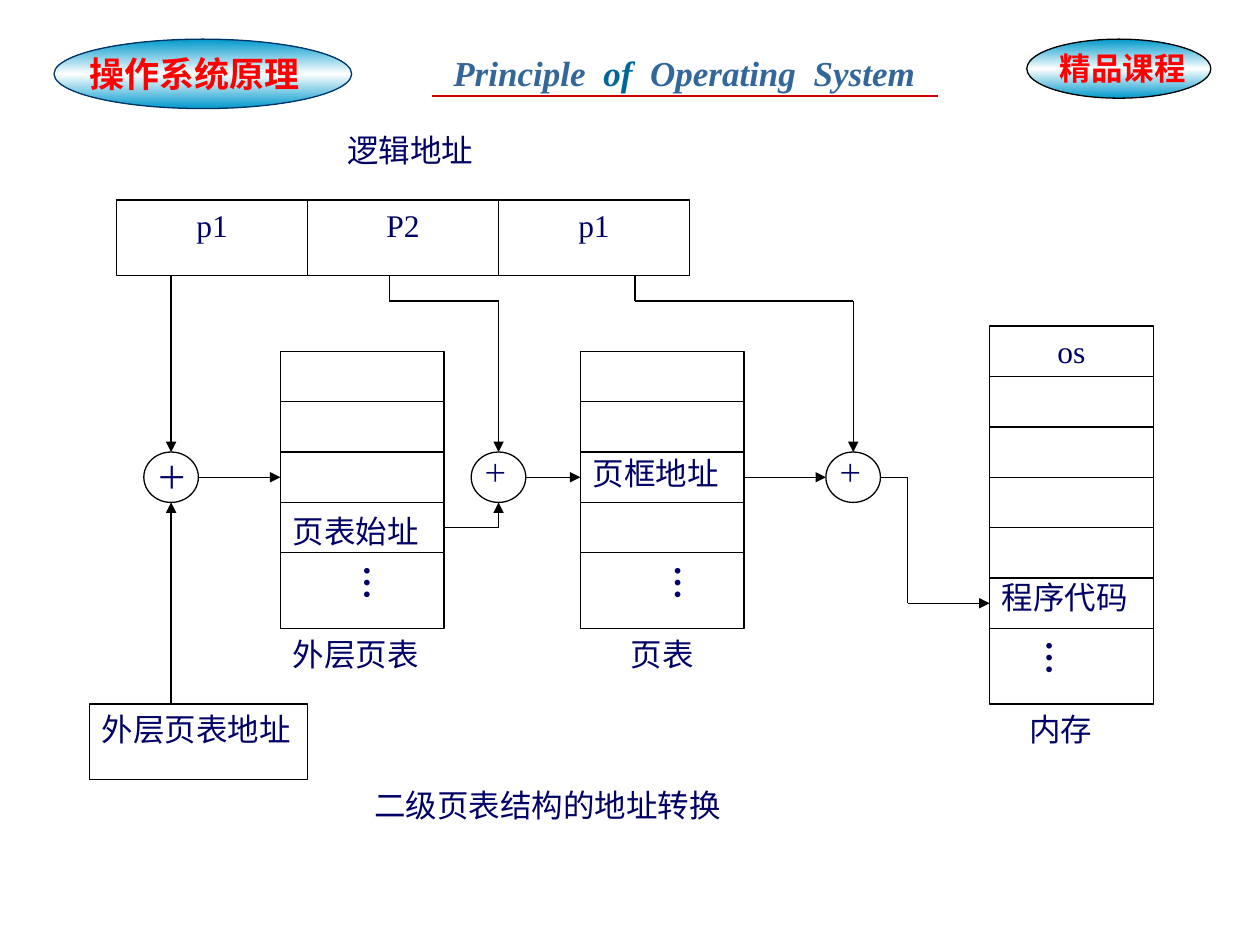
import itertools
from dataclasses import dataclass
from typing import Optional

import lxml.etree
import pptx
import pptx.dml.color
import pptx.enum.shapes
import pptx.enum.text
import pptx.oxml.ns
import pptx.shapes.autoshape
import pptx.slide
import pptx.util

Cm = pptx.util.Cm
Pt = pptx.util.Pt
RGB = pptx.dml.color.RGBColor.from_string
qn = pptx.oxml.ns.qn
Shapes = pptx.enum.shapes.MSO_SHAPE
Align = pptx.enum.text.PP_ALIGN


@dataclass(frozen=True)
class Theme:
    ink: str = "000066"
    outline: str = "000000"
    badge_text: str = "FF0000"
    badge_outline: str = "003366"
    title: str = "336699"
    title_accent: str = "006699"
    rule: str = "CC0000"
    gradient: tuple = ((0, "0099CC"), (0.5, "FFFFFF"), (1, "0099CC"))
    font: str = "Times New Roman"
    badge_font: str = "Arial"
    heading: int = 20
    body: int = 18
    small: int = 14
    thin: float = 0.75


THEME = Theme()
LEFT, COLUMN = 1.8, 0.55
TOP, ROW = 2.51, 14.73 / 29


@dataclass(frozen=True)
class Box:
    left: float
    top: float
    width: float
    height: float


@dataclass(frozen=True)
class Label:
    text: str
    column: float
    row: float
    columns: float
    size: int = THEME.body
    align: Align = Align.LEFT


@dataclass(frozen=True)
class Stack:
    column: float
    row: float
    rows: int
    dividers: int


@dataclass(frozen=True)
class Dots:
    column: float
    row: float
    line_spacing: float


STACKS = [Stack(7, 9, 11, 4), Stack(18, 9, 11, 4), Stack(33, 8, 15, 6)]
FIELDS = ["p1", "P2", "p1"]
ADDERS = [2, 14, 27]
DOTS = [Dots(9, 17, 1.25), Dots(20, 17, 1), Dots(34, 20, 1.25)]
LABELS = [
    Label("逻辑地址", 9, 0, 6),
    Label("os", 33, 8, 6, align=Align.CENTER),
    Label("页表始址", 7, 15.15, 6),
    Label("页框地址", 18, 12.85, 6),
    Label("程序代码", 33, 17.75, 6),
    Label("外层页表", 7, 20, 6),
    Label("页表", 18, 20, 6, align=Align.CENTER),
    Label("内存", 34, 23, 4),
    Label("外层页表地址", 0, 23, 8),
    Label("二级页表结构的地址转换", 10, 26, 21),
    Label("＋", 2, 13, 2),
    Label("＋", 14, 13, 2, THEME.small),
    Label("＋", 27, 13, 2, THEME.small),
]
ROUTES = [
    [(3, 23), (3, 15)],
    [(3, 6), (3, 13)],
    [(4, 14), (7, 14)],
    [(13, 16), (15, 16), (15, 15)],
    [(11, 6), (11, 7), (15, 7), (15, 13)],
    [(16, 14), (18, 14)],
    [(24, 14), (27, 14)],
    [(20, 6), (20, 7), (28, 7), (28, 13)],
    [(29, 14), (30, 14), (30, 19), (33, 19)],
]


def grid_box(column: float, row: float, columns: float, rows: float) -> Box:
    return Box(LEFT + column * COLUMN, TOP + row * ROW, columns * COLUMN, rows * ROW)


def add_run(paragraph, text: str, *, size: int = THEME.body, color: str = THEME.ink,
            font: str = THEME.font, bold: bool = False, italic: bool = False,
            tracking: float = 0) -> None:
    run = paragraph.add_run()
    run.text = text
    run.font.size = Pt(size)
    run.font.name = font
    run.font.bold = bold
    run.font.italic = italic
    run.font.color.rgb = RGB(color)
    if tracking:
        run.font._element.set("spc", str(int(tracking * 100)))


def add_text_box(slide: pptx.slide.Slide, box: Box) -> pptx.shapes.autoshape.Shape:
    shape = slide.shapes.add_textbox(Cm(box.left), Cm(box.top), Cm(box.width), Cm(box.height))
    shape.text_frame.word_wrap = True
    return shape


def add_outline(slide: pptx.slide.Slide, kind: Shapes, box: Box,
                color: str = THEME.outline) -> pptx.shapes.autoshape.Shape:
    shape = slide.shapes.add_shape(kind, Cm(box.left), Cm(box.top), Cm(box.width), Cm(box.height))
    shape.shadow.inherit = False
    shape.fill.background()
    shape.line.color.rgb = RGB(color)
    shape.line.width = Pt(THEME.thin)
    return shape


def add_line(slide: pptx.slide.Slide, start: tuple, end: tuple, *,
             color: str = THEME.outline, width: float = THEME.thin, arrow: bool = False) -> None:
    connector = slide.shapes.add_connector(
        pptx.enum.shapes.MSO_CONNECTOR.STRAIGHT, *(Cm(value) for value in start + end))
    connector.line.color.rgb = RGB(color)
    connector.line.width = Pt(width)
    if arrow:
        lxml.etree.SubElement(connector.line._get_or_add_ln(), qn("a:tailEnd"), type="triangle")
    lxml.etree.SubElement(connector.element.spPr, qn("a:effectLst"))


def grid_line(slide: pptx.slide.Slide, start: tuple, end: tuple, arrow: bool = False) -> None:
    first, last = ((LEFT + column * COLUMN, TOP + row * ROW) for column, row in (start, end))
    add_line(slide, first, last, arrow=arrow)


def add_badge(slide: pptx.slide.Slide, box: Box, outline: str, text: str, text_box: Box,
              size: int, font: str) -> None:
    ellipse = add_outline(slide, Shapes.OVAL, box, outline)
    ellipse.fill.gradient()
    ellipse.fill.gradient_angle = 90
    stop_list = ellipse.element.spPr.find(".//" + qn("a:gsLst"))
    lxml.etree.SubElement(stop_list, qn("a:gs"), pos="100000")
    for stop, (position, color) in zip(ellipse.fill.gradient_stops, THEME.gradient):
        stop.position = position
        stop.color.rgb = RGB(color)
    label = add_text_box(slide, text_box)
    add_run(label.text_frame.paragraphs[0], text, size=size, color=THEME.badge_text,
            font=font, bold=True)


def add_header(slide: pptx.slide.Slide) -> None:
    add_badge(slide, Box(1.09, 0.79, 6, 1.4), THEME.badge_outline, "操作系统原理",
              Box(1.55, 0.94, 5, 1.12), THEME.heading, THEME.font)
    add_badge(slide, Box(20.7, 0.79, 3.71, 1.19), THEME.outline, "精品课程",
              Box(21.11, 0.86, 3.51, 1.02), THEME.body, THEME.badge_font)
    title = add_text_box(slide, Box(8.89, 0.91, 10.6, 1.12)).text_frame.paragraphs[0]
    words = [("Principle", THEME.title), ("of", THEME.title_accent),
             ("Operating", THEME.title), ("System", THEME.title)]
    for index, (word, color) in enumerate(words):
        style = dict(size=THEME.heading, color=color, bold=True, italic=True)
        if index:
            add_run(title, " ", tracking=5, **style)
        add_run(title, word, **style)
    add_line(slide, (8.71, 1.93), (18.9, 1.93), color=THEME.rule, width=1)


def add_dots(slide: pptx.slide.Slide, dots: Dots) -> None:
    shape = add_text_box(slide, grid_box(dots.column, dots.row, 3, 3))
    frame = shape.text_frame
    frame.margin_left = frame.margin_right = Cm(0.13)
    frame.margin_top = frame.margin_bottom = Cm(0.25)
    shape.element.find(".//" + qn("a:bodyPr")).set("vert", "eaVert")
    frame.paragraphs[0].line_spacing = dots.line_spacing
    add_run(frame.paragraphs[0], "…", size=THEME.heading, bold=True)


def add_label(slide: pptx.slide.Slide, label: Label) -> None:
    shape = add_text_box(slide, grid_box(label.column, label.row, label.columns, 3))
    paragraph = shape.text_frame.paragraphs[0]
    paragraph.alignment = label.align
    add_run(paragraph, label.text, size=label.size)


def add_field(slide: pptx.slide.Slide, column: int, row: int, columns: int,
              text: Optional[str] = None) -> None:
    shape = add_outline(slide, Shapes.RECTANGLE, grid_box(column, row, columns, 3))
    if text:
        shape.text_frame.vertical_anchor = pptx.enum.text.MSO_ANCHOR.TOP
        add_run(shape.text_frame.paragraphs[0], text)


def main() -> None:
    presentation = pptx.Presentation()
    presentation.slide_width, presentation.slide_height = Cm(25.4), Cm(19.05)
    slide = presentation.slides.add_slide(presentation.slide_layouts[6])
    add_header(slide)
    for index, text in enumerate(FIELDS):
        add_field(slide, 1 + 7 * index, 3, 7, text)
    add_field(slide, 0, 23, 8)
    for stack in STACKS:
        add_outline(slide, Shapes.RECTANGLE, grid_box(stack.column, stack.row, 6, stack.rows))
        for index in range(1, stack.dividers + 1):
            row = stack.row + 2 * index
            grid_line(slide, (stack.column, row), (stack.column + 6, row))
    for column in ADDERS:
        add_outline(slide, Shapes.OVAL, grid_box(column, 13, 2, 2))
    for route in ROUTES:
        for start, end in itertools.pairwise(route):
            grid_line(slide, start, end, arrow=end == route[-1])
    for label in LABELS:
        add_label(slide, label)
    for dots in DOTS:
        add_dots(slide, dots)
    presentation.save("out.pptx")


if __name__ == "__main__":
    main()
